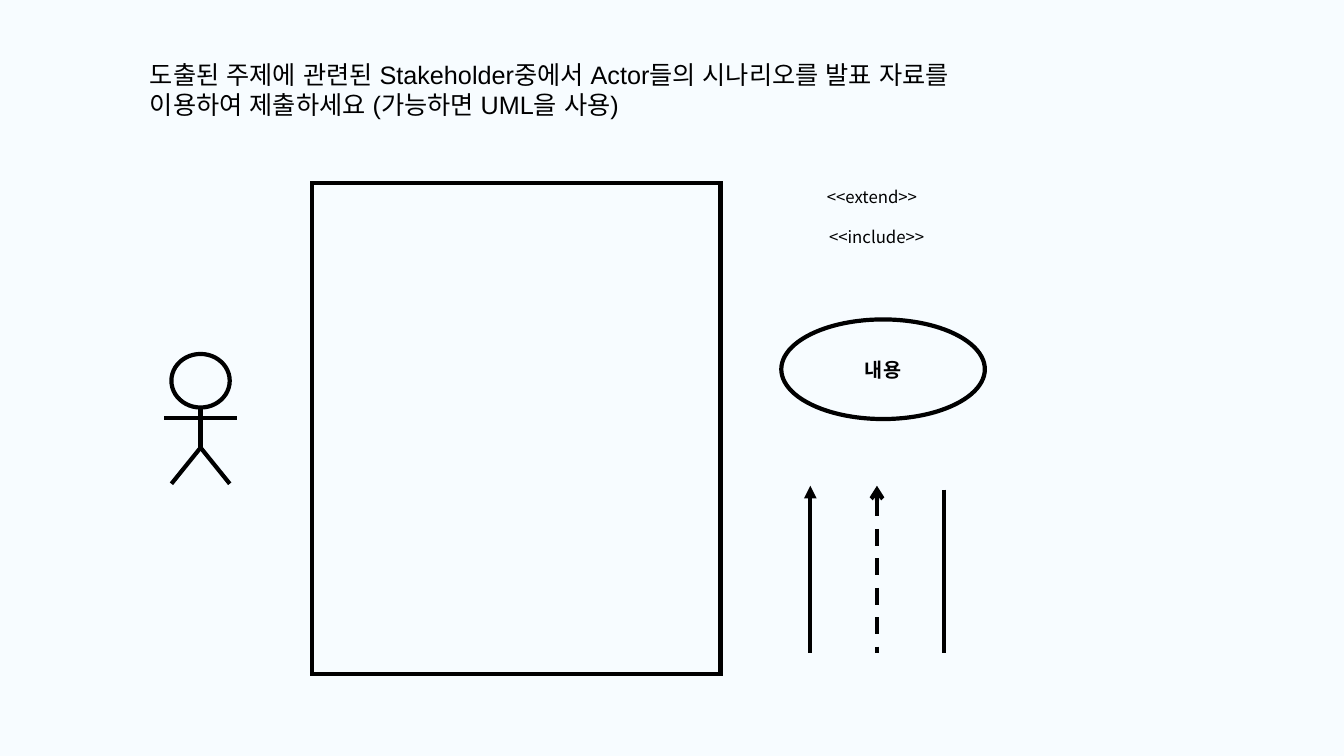
"""Build a slide of UML use-case notation: actor, system boundary, labels and relation lines."""
import pptx
import pptx.dml.color
import pptx.enum.dml
import pptx.enum.shapes
import pptx.enum.text
import pptx.oxml
import pptx.oxml.ns
import pptx.util

Cm = pptx.util.Cm
Pt = pptx.util.Pt
SHAPE = pptx.enum.shapes.MSO_SHAPE
ALIGN = pptx.enum.text.PP_ALIGN
ANCHOR = pptx.enum.text.MSO_ANCHOR
DASH = pptx.enum.dml.MSO_LINE.DASH

BLACK = pptx.dml.color.RGBColor(0x00, 0x00, 0x00)
BACKGROUND = pptx.dml.color.RGBColor(0xF7, 0xFC, 0xFF)
TITLE_FONT = "Arial"
BODY_FONT = "Noto Sans CJK KR"


def add_xml(parent, tag, **attrs):
    el = pptx.oxml.parse_xml(f"<{tag} {pptx.oxml.ns.nsdecls('a')}/>")
    for name, value in attrs.items():
        el.set(name, value)
    parent.append(el)


def write_text(tf, text, font=BODY_FONT, size=12, bold=False, align=ALIGN.CENTER,
               anchor=ANCHOR.TOP, inset=(0.25, 0.13)):
    tf.word_wrap = True
    tf.auto_size = pptx.enum.text.MSO_AUTO_SIZE.NONE
    tf.vertical_anchor = anchor
    tf.margin_left = tf.margin_right = Cm(inset[0])
    tf.margin_top = tf.margin_bottom = Cm(inset[1])
    p = tf.paragraphs[0]
    p.alignment = align
    r = p.add_run()
    r.text = text
    r.font.name = font
    r.font.size = Pt(size)
    r.font.bold = bold
    r.font.color.rgb = BLACK
    add_xml(r.font._element, "a:ea", typeface=font)


class UmlSlide:
    """Holds the line style and the slide being drawn."""

    def __init__(self, prs, line_width=3):
        self.line_width = Pt(line_width)
        self.slide = prs.slides.add_slide(prs.slide_layouts[5])
        fill = self.slide.background.fill
        fill.solid()
        fill.fore_color.rgb = BACKGROUND

    def style_line(self, line):
        line.color.rgb = BLACK
        line.width = self.line_width

    def title(self, text, left, top, width, height):
        sp = self.slide.shapes.title
        sp.left, sp.top, sp.width, sp.height = map(Cm, (left, top, width, height))
        write_text(sp.text_frame, text, font=TITLE_FONT, size=18, align=ALIGN.LEFT)

    def label(self, text, left, top, width, height):
        sp = self.slide.shapes.add_textbox(*map(Cm, (left, top, width, height)))
        write_text(sp.text_frame, text)

    def outline(self, kind, left, top, width, height, shapes=None):
        shapes = shapes or self.slide.shapes
        sp = shapes.add_shape(kind, *map(Cm, (left, top, width, height)))
        sp.shadow.inherit = False
        sp.fill.background()
        self.style_line(sp.line)
        add_xml(sp.line._get_or_add_ln(), "a:miter", lim="800000")
        return sp

    def line(self, x1, y1, x2, y2, shapes=None, dash=None, head=None):
        shapes = shapes or self.slide.shapes
        cxn = shapes.add_connector(pptx.enum.shapes.MSO_CONNECTOR.STRAIGHT,
                                   *map(Cm, (x1, y1, x2, y2)))
        self.style_line(cxn.line)
        if dash:
            cxn.line.dash_style = dash
        if head:
            add_xml(cxn.line._get_or_add_ln(), "a:headEnd", type=head)
        add_xml(cxn._element.spPr, "a:effectLst")

    def use_case(self, text, left, top, width, height):
        sp = self.outline(SHAPE.OVAL, left, top, width, height)
        write_text(sp.text_frame, text, size=14, bold=True,
                   anchor=ANCHOR.MIDDLE, inset=(0, 0))

    def actor(self, left, top, width, height):
        shapes = self.slide.shapes.add_group_shape().shapes
        self.outline(SHAPE.OVAL, left, top, width, height, shapes)
        mid, neck = left + width / 2, top + height
        hip, feet, arms, reach = neck + 1.01, neck + 1.92, neck + 0.27, 0.91
        self.line(mid, neck, mid, hip, shapes)
        for foot in (left, left + width):
            self.line(mid, hip, foot, feet, shapes)
        self.line(mid - reach, arms, mid + reach, arms, shapes)


def main():
    prs = pptx.Presentation()
    prs.slide_width, prs.slide_height = Cm(33.87), Cm(19.05)
    s = UmlSlide(prs)
    s.title("도출된 주제에 관련된 Stakeholder중에서 Actor들의 시나리오를 발표 자료를 "
            "이용하여 제출하세요 (가능하면 UML을 사용)", 3.53, 1.37, 22.07, 1.8)
    s.actor(4.32, 8.92, 1.47, 1.35)
    s.outline(SHAPE.RECTANGLE, 7.87, 4.62, 10.29, 12.37)
    s.label("<<extend>>", 19.69, 4.57, 4.57, 0.76)
    s.label("<<include>>", 19.63, 5.59, 4.93, 0.76)
    s.use_case("내용", 19.69, 8.05, 5.13, 2.51)
    relations = [(12.24, None, "triangle"), (12.24, DASH, "arrow"), (12.34, None, None)]
    for i, (top, dash, head) in enumerate(relations):
        x = 20.42 + 1.68 * i
        s.line(x, top, x, 16.46, dash=dash, head=head)
    prs.save("out.pptx")


if __name__ == "__main__":
    main()
